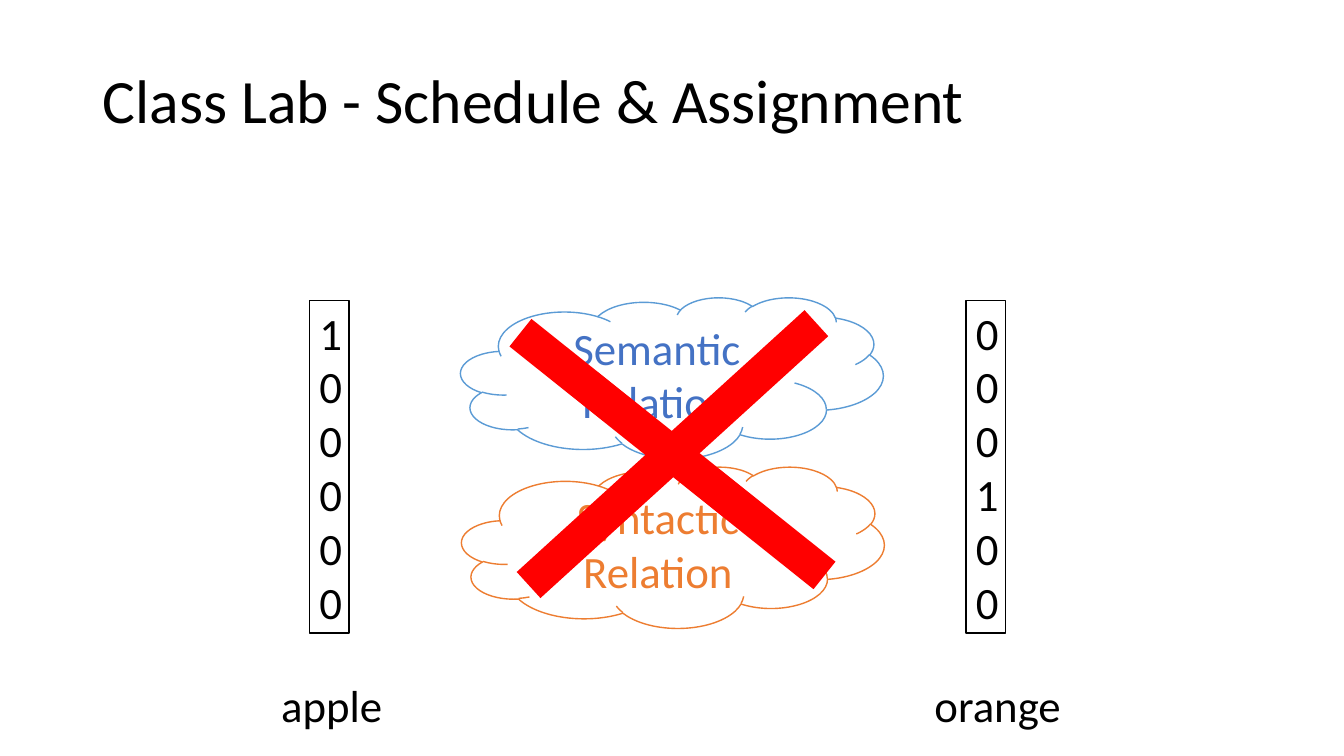
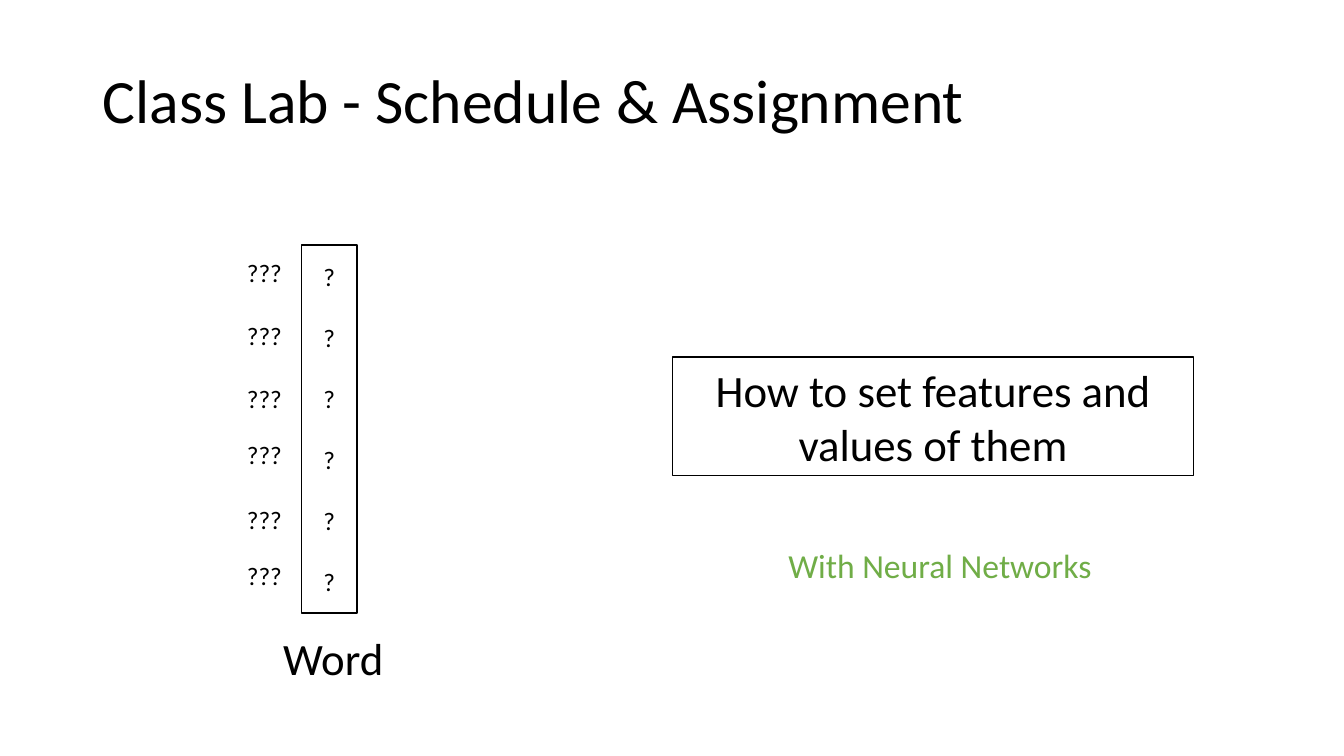
import pptx
import pptx.dml.color
import pptx.enum.shapes
import pptx.enum.text
import pptx.util

Inches = pptx.util.Inches
Pt = pptx.util.Pt
RGBColor = pptx.dml.color.RGBColor
Preset = pptx.enum.shapes.MSO_SHAPE
Align = pptx.enum.text.PP_ALIGN
Anchor = pptx.enum.text.MSO_ANCHOR

COLORS = {
    "white": "FFFFFF",
    "black": "000000",
    "red": "FF0000",
    "sky": "5B9BD5",
    "blue": "4472C4",
    "orange": "ED7D31",
    "green": "70AD47",
}
FONT = "Calibri"
TITLE = "Class Lab - Schedule & Assignment"


def write(shape, lines, size, color="black", align=Align.CENTER, gap=0):
    """Fill a shape with one paragraph per line, gap points apart."""
    frame = shape.text_frame
    for index, line in enumerate(lines):
        paragraph = frame.add_paragraph() if index else frame.paragraphs[0]
        paragraph.alignment = align
        if index and gap:
            paragraph.space_before = Pt(gap)
        run = paragraph.add_run()
        run.text = line
        run.font.name = FONT
        run.font.size = Pt(size)
        run.font.color.rgb = RGBColor.from_string(COLORS[color])


def add_shape(slide, preset, place, fill="white", line="black"):
    shape = slide.shapes.add_shape(preset, *map(Inches, place))
    shape.shadow.inherit = False
    shape.fill.solid()
    shape.fill.fore_color.rgb = RGBColor.from_string(COLORS[fill])
    if line:
        shape.line.color.rgb = RGBColor.from_string(COLORS[line])
        shape.line.width = Pt(1)
    else:
        shape.line.fill.background()
    shape.text_frame.word_wrap = True
    shape.text_frame.vertical_anchor = Anchor.MIDDLE
    return shape


presentation = pptx.Presentation()
presentation.slide_width = Inches(13.33)
presentation.slide_height = Inches(7.5)
blank_layout = presentation.slide_layouts[6]
one_hot_slide = presentation.slides.add_slide(blank_layout)
feature_slide = presentation.slides.add_slide(blank_layout)

# Shared title
for slide in (one_hot_slide, feature_slide):
    title = slide.shapes.add_textbox(Inches(0.92), Inches(0.3), Inches(11.5), Inches(1.45))
    title.text_frame.word_wrap = True
    title.text_frame.vertical_anchor = Anchor.MIDDLE
    write(title, [TITLE], 44, align=Align.LEFT)
    title.text_frame.paragraphs[0].line_spacing = 0.9

# One-hot vectors: the narrow box wraps after every digit
for left, digits in ((3.07, "100000"), (9.58, "000100")):
    vector = add_shape(one_hot_slide, Preset.RECTANGLE, (left, 2.98, 0.39, 3.3))
    write(vector, [digits], 32)

# Relations, crossed out
for left, top, text, line, color in (
    (4.57, 2.95, "Semantic Relation", "sky", "blue"),
    (4.58, 4.63, "Syntactic Relation", "orange", "orange"),
):
    cloud = add_shape(one_hot_slide, Preset.CLOUD, (left, top, 4.19, 1.6), line=line)
    write(cloud, [text], 32, color)

for angle in (38.6, 317.7):
    bar = add_shape(one_hot_slide, Preset.RECTANGLE, (4.74, 4.33, 3.86, 0.35), "red", None)
    bar.rotation = angle

# Unknown features of a word
word_vector = add_shape(feature_slide, Preset.RECTANGLE, (2.99, 2.43, 0.55, 3.65))
write(word_vector, ["?"] * 6, 18, gap=22)

question = add_shape(feature_slide, Preset.RECTANGLE, (6.67, 3.54, 5.17, 1.18))
write(question, ["How to set features and values of them"], 32)

# Labels
labels = [
    (one_hot_slide, "apple", (2.69, 6.67, 1.22, 0.64), 32, "black"),
    (one_hot_slide, "orange", (9.17, 6.67, 1.47, 0.64), 32, "black"),
    (feature_slide, "Word", (2.71, 6.21, 1.21, 0.64), 32, "black"),
    (feature_slide, "With Neural Networks", (7.72, 5.36, 3.24, 0.5), 24, "green"),
]
for top in (2.5, 3.13, 3.75, 4.31, 4.95, 5.51):
    labels.append((feature_slide, "???", (2.35, top, 0.55, 0.4), 18, "black"))

for slide, text, place, size, color in labels:
    label = slide.shapes.add_textbox(*map(Inches, place))
    label.text_frame.word_wrap = False
    label.text_frame.auto_size = pptx.enum.text.MSO_AUTO_SIZE.SHAPE_TO_FIT_TEXT
    write(label, [text], size, color, Align.LEFT)

presentation.save("out.pptx")
